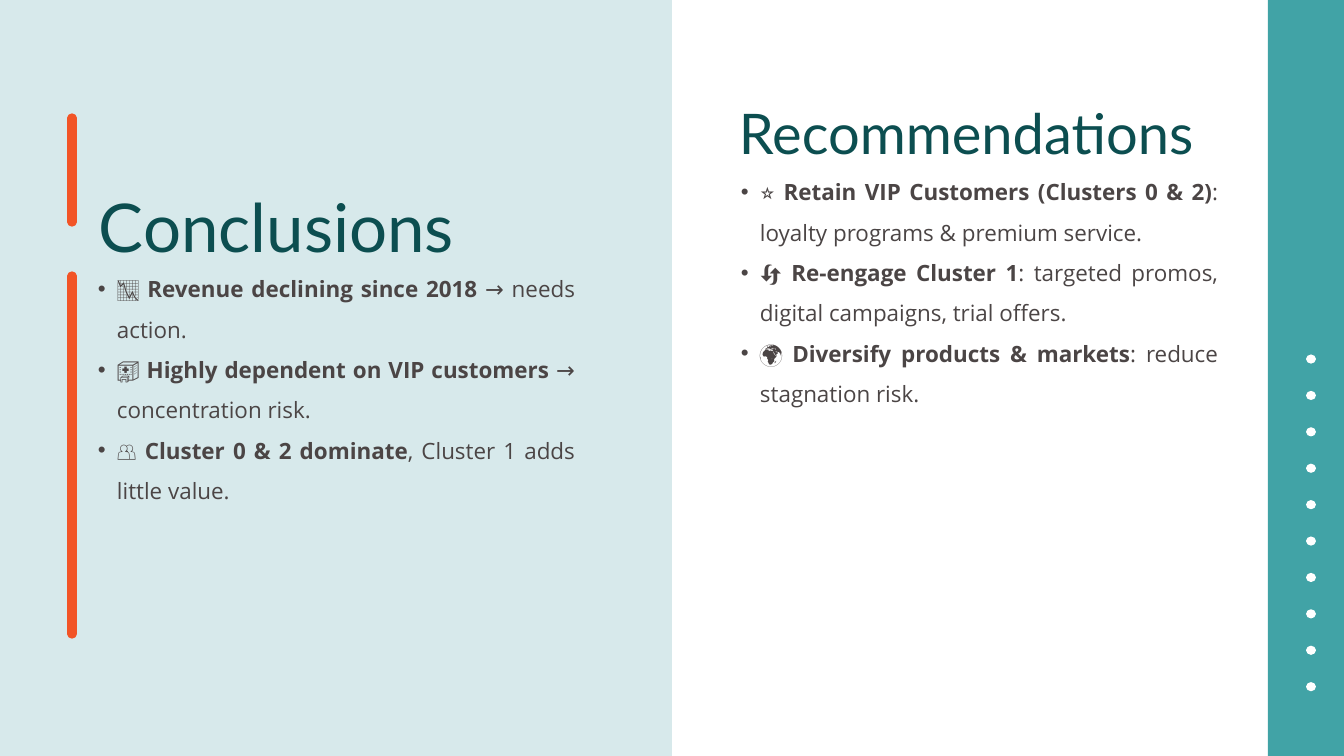
import pptx
import pptx.dml.color
import pptx.enum.shapes
import pptx.enum.text
import pptx.oxml.ns
import pptx.util
from lxml import etree

PX = 914400 / 67.2  # EMU per pixel
WIDTH, HEIGHT = 1344, 756

RGBColor = pptx.dml.color.RGBColor
PALE_TEAL = RGBColor(0xD7, 0xE9, 0xEB)
TEAL = RGBColor(0x41, 0xA3, 0xA6)
DARK_TEAL = RGBColor(0x0C, 0x4E, 0x50)
ORANGE = RGBColor(0xF2, 0x54, 0x26)
GREY = RGBColor(0x4B, 0x45, 0x45)
WHITE = RGBColor(0xFF, 0xFF, 0xFF)

qn = pptx.oxml.ns.qn


def px(length):
    return pptx.util.Emu(round(length * PX))


def add_text_frame(slide, left, top, width, height):
    text_box = slide.shapes.add_textbox(px(left), px(top), px(width), px(height))
    text_frame = text_box.text_frame
    text_frame.margin_left = text_frame.margin_right = 0
    text_frame.margin_top = text_frame.margin_bottom = 0
    text_frame.word_wrap = True
    text_frame.auto_size = pptx.enum.text.MSO_AUTO_SIZE.SHAPE_TO_FIT_TEXT
    return text_frame


presentation = pptx.Presentation()
presentation.slide_width = px(WIDTH)
presentation.slide_height = px(HEIGHT)
slide = presentation.slides.add_slide(presentation.slide_layouts[6])

# Left panel and right band
for left, width, color in [(0, 672, PALE_TEAL), (1268, 76, TEAL)]:
    panel = slide.shapes.add_shape(
        pptx.enum.shapes.MSO_SHAPE.RECTANGLE, px(left), 0, px(width), px(HEIGHT))
    panel.shadow.inherit = False
    panel.fill.solid()
    panel.fill.fore_color.rgb = color
    panel.line.fill.background()

# Round-ended accent bars and the dotted line
for x, top, bottom, color, weight, dash in [
    (72, 118, 222, ORANGE, 10, "solid"),
    (72, 276, 634, ORANGE, 10, "solid"),
    (1311, 359, 718, WHITE, 9.75, "dot"),
]:
    connector = slide.shapes.add_connector(
        pptx.enum.shapes.MSO_CONNECTOR.STRAIGHT, px(x), px(top), px(x), px(bottom))
    connector.line.color.rgb = color
    connector.line.width = pptx.util.Pt(weight)
    properties = connector.line._get_or_add_ln()
    properties.set("cap", "rnd")
    etree.SubElement(properties, qn("a:prstDash"), val=dash)
    etree.SubElement(connector._element.spPr, qn("a:effectLst"))

# Headings
for heading, left, top, height, size, spacing in [
    ("Conclusions", 99, 153, 92, 72, 1.4),
    ("Recommendations", 739, 53, 88, 60, 1.68),
]:
    text_frame = add_text_frame(slide, left, top, 523, height)
    text_frame.text = heading
    paragraph = text_frame.paragraphs[0]
    paragraph.line_spacing = spacing
    font = paragraph.runs[0].font
    font.name = "Lato"
    font.size = pptx.util.Pt(size)
    font.color.rgb = DARK_TEAL

# Bullet lists: icon, bold lead, plain remainder
bullet_lists = [
    (79, 262, [
        ("📉 ", "Revenue declining since 2018", " → needs action."),
        ("🏥 ", "Highly dependent on VIP customers", " → concentration risk."),
        ("👥 ", "Cluster 0 & 2 dominate", ", Cluster 1 adds little value."),
    ]),
    (722, 165, [
        ("⭐ ", "Retain VIP Customers (Clusters 0 & 2)",
         ": loyalty programs & premium service."),
        ("🔄 ", "Re-engage Cluster 1",
         ": targeted promos, digital campaigns, trial offers."),
        ("🌍 ", "Diversify products & markets", ": reduce stagnation risk."),
    ]),
]
for left, top, items in bullet_lists:
    text_frame = add_text_frame(slide, left, top, 496, 240)
    for index, parts in enumerate(items):
        paragraph = text_frame.paragraphs[0] if index == 0 else text_frame.add_paragraph()
        paragraph.level = 1
        paragraph.alignment = pptx.enum.text.PP_ALIGN.JUSTIFY
        paragraph.line_spacing = 1.5
        properties = paragraph._p.get_or_add_pPr()
        properties.set("marL", str(px(38)))
        properties.set("indent", str(px(-19)))
        bullet_color = etree.SubElement(properties, qn("a:buClr"))
        etree.SubElement(bullet_color, qn("a:srgbClr"), val=str(GREY))
        etree.SubElement(properties, qn("a:buFont"), typeface="Arial")
        etree.SubElement(properties, qn("a:buChar"), char="•")
        for part, bold in zip(parts, (False, True, False)):
            run = paragraph.add_run()
            run.text = part
            run.font.name = "Open Sans"
            run.font.size = pptx.util.Pt(24)
            run.font.bold = bold
            run.font.color.rgb = GREY

presentation.save("out.pptx")
